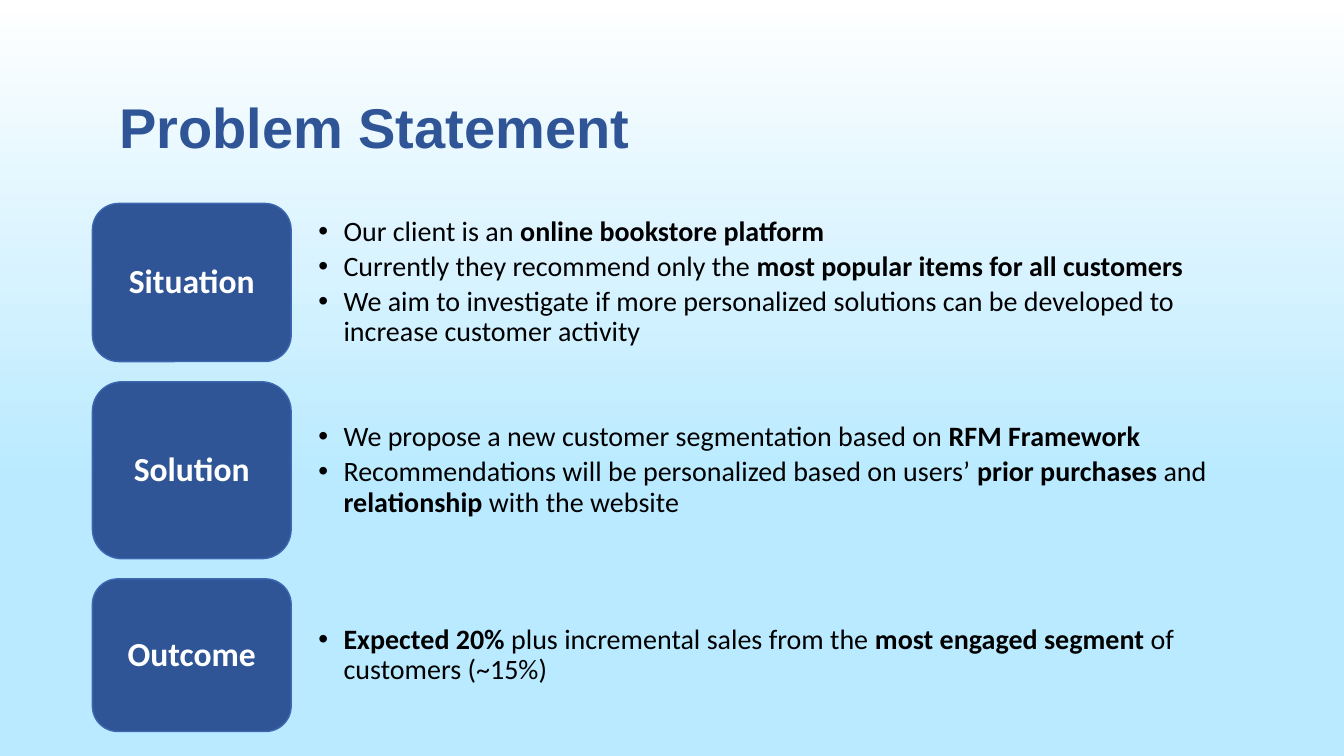
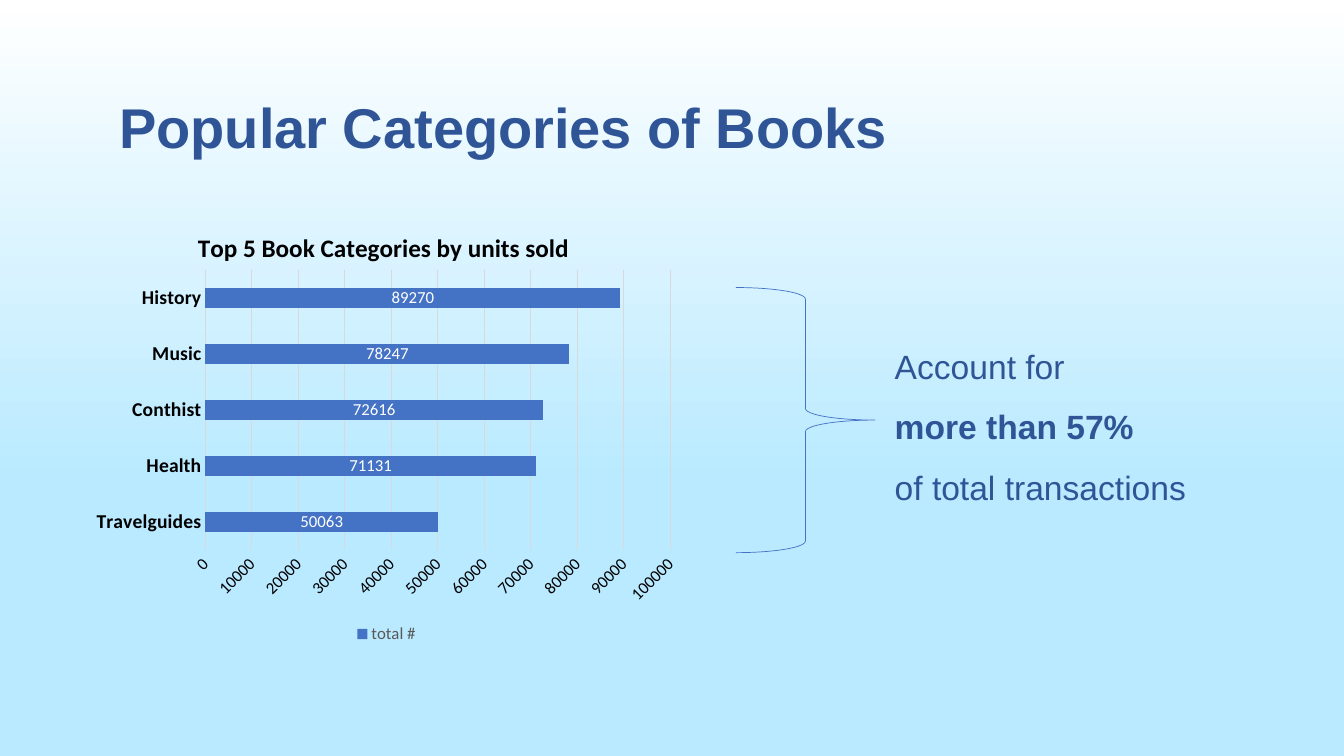
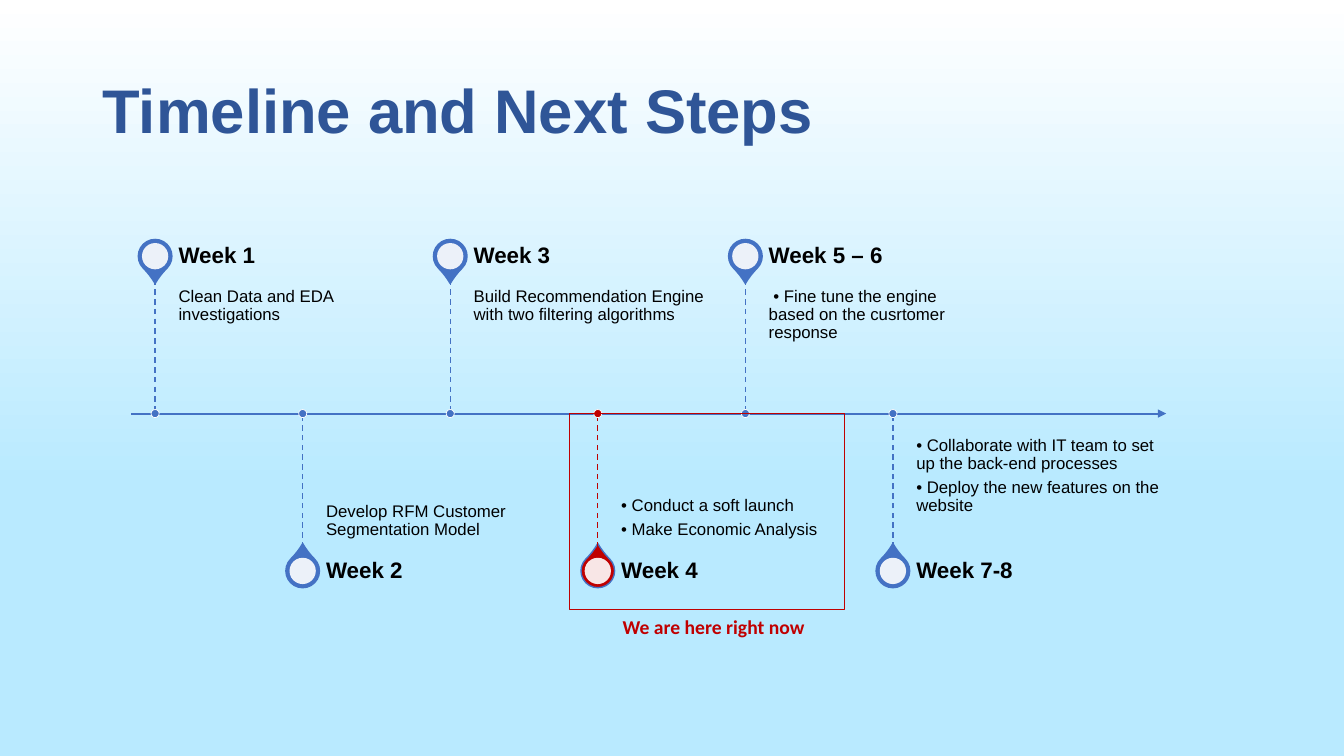
from lxml import etree
from pptx import Presentation
from pptx.chart.data import CategoryChartData
from pptx.dml.color import RGBColor
from pptx.enum.chart import XL_CHART_TYPE, XL_LABEL_POSITION, XL_LEGEND_POSITION, XL_TICK_MARK
from pptx.enum.dml import MSO_LINE
from pptx.enum.shapes import MSO_CONNECTOR, MSO_SHAPE
from pptx.enum.text import MSO_ANCHOR, MSO_AUTO_SIZE, PP_ALIGN
from pptx.oxml.ns import qn
from pptx.util import Pt

NAVY = RGBColor(0x2F, 0x55, 0x97)
EDGE = RGBColor(0x3E, 0x67, 0xB2)
BLUE = RGBColor(0x44, 0x72, 0xC4)
SKY = RGBColor(0xB9, 0xEA, 0xFF)
RED = RGBColor(0xC0, 0x00, 0x00)
GRID = RGBColor(0xD9, 0xD9, 0xD9)
GRAY = RGBColor(0x59, 0x59, 0x59)
BLACK = RGBColor(0, 0, 0)
WHITE = RGBColor(255, 255, 255)

LEFT, MID = PP_ALIGN.LEFT, PP_ALIGN.CENTER
TOP, CORE, BASE = MSO_ANCHOR.TOP, MSO_ANCHOR.MIDDLE, MSO_ANCHOR.BOTTOM
RECT, ROUND, OVAL = MSO_SHAPE.RECTANGLE, MSO_SHAPE.ROUNDED_RECTANGLE, MSO_SHAPE.OVAL
DROP, BRACE = MSO_SHAPE.TEAR, MSO_SHAPE.RIGHT_BRACE
LINE, DASH, NONE = MSO_CONNECTOR.STRAIGHT, MSO_LINE.DASH, XL_TICK_MARK.NONE

SANS, BODY = "Arial", "Calibri"
INSET = (7.2, 3.6, 7.2, 3.6)


def style(item, **values):
    for name, value in values.items():
        setattr(item, name, value)


def dress(font, size, color, bold=False, name=BODY):
    style(font, size=Pt(size), bold=bold, name=name)
    font.color.rgb = color


def write(frame, lines, size, color, bold=False, name=BODY, anchor=TOP, align=LEFT,
          inset=INSET, space=0.9, after=0, bullet=False, wrap=True):
    sides = ("margin_left", "margin_top", "margin_right", "margin_bottom")
    style(frame, word_wrap=wrap, auto_size=MSO_AUTO_SIZE.NONE, vertical_anchor=anchor,
          **{side: Pt(gap) for side, gap in zip(sides, inset)})
    for i, line in enumerate(lines):
        para = frame.add_paragraph() if i else frame.paragraphs[0]
        style(para, alignment=align, line_spacing=space, space_before=Pt(0), space_after=Pt(after))
        for j, part in enumerate(line.split("*")):
            for k, piece in enumerate(part.split("\n")):
                if k:
                    para.add_line_break()
                if piece:
                    run = para.add_run()
                    run.text = piece
                    dress(run.font, size, color, bold or j % 2 == 1, name)
        if bullet:
            props = para._p.get_or_add_pPr()
            props.set("marL", str(Pt(18)))
            props.set("indent", str(-Pt(18)))
            etree.SubElement(props, qn("a:buFont")).set("typeface", SANS)
            etree.SubElement(props, qn("a:buChar")).set("char", "•")


def label(slide, box, lines, size, color, **values):
    item = slide.shapes.add_textbox(*map(Pt, box))
    write(item.text_frame, lines, size, color, **values)


def shape(slide, kind, box, fill=None, line=None, width=1):
    item = slide.shapes.add_shape(kind, *map(Pt, box))
    item.shadow.inherit = False
    if fill is None:
        item.fill.background()
    else:
        item.fill.solid()
        item.fill.fore_color.rgb = fill
    if line is None:
        item.line.fill.background()
    else:
        item.line.color.rgb = line
        item.line.width = Pt(width)
    return item


def disc(slide, x, y, size, fill, line=None, width=1):
    return shape(slide, OVAL, (x - size / 2, y - size / 2, size, size), fill, line, width)


def rule(slide, x1, y1, x2, y2, color, width, dash=None, arrow=False):
    item = slide.shapes.add_connector(LINE, *map(Pt, (x1, y1, x2, y2)))
    item.line.color.rgb = color
    item.line.width = Pt(width)
    if dash:
        item.line.dash_style = dash
    props = item.element.spPr
    if arrow:
        etree.SubElement(props.find(qn("a:ln")), qn("a:tailEnd")).set("type", "triangle")
    etree.SubElement(props, qn("a:effectLst"))


def page(deck, text, box=(78, 41, 828, 104.4), size=40):
    slide = deck.slides.add_slide(deck.slide_layouts[5])
    title = slide.shapes.title
    style(title, **dict(zip(("left", "top", "width", "height"), map(Pt, box))))
    write(title.text_frame, [text], size, NAVY, bold=True, name=SANS, anchor=CORE)
    return slide


def paint(deck):
    fill = deck.slide_master.background.fill
    fill.gradient()
    fill.gradient_angle = 270
    for stop, color, place in zip(fill.gradient_stops, (WHITE, SKY), (0, 0.64)):
        stop.color.rgb = color
        stop.position = place


def row(slide, box, name, lines):
    x, y, width, height = box
    card = shape(slide, ROUND, (x, y, 142, height), NAVY, EDGE)
    write(card.text_frame, [name], 24, WHITE, bold=True, anchor=CORE, align=MID)
    label(slide, (x + 142, y, width - 142, height), lines, 20, BLACK, anchor=CORE,
          inset=(19.4, 10, 19.4, 10), after=3.5, bullet=True)


def place(node, index, **values):
    for old in node.findall(qn("c:layout")):
        node.remove(old)
    layout = etree.Element(qn("c:layout"))
    node.insert(index, layout)
    manual = etree.SubElement(layout, qn("c:manualLayout"))
    for name, value in values.items():
        etree.SubElement(manual, qn("c:" + name)).set("val", str(value))


def bars(slide, box, title, name, sales):
    data = CategoryChartData()
    data.categories = list(sales)
    data.add_series(name, list(sales.values()))
    chart = slide.shapes.add_chart(XL_CHART_TYPE.BAR_CLUSTERED, *map(Pt, box), data).chart
    dress(chart.font, 10, BLACK)
    chart.has_title = True
    head = chart.chart_title
    write(head.text_frame, [title], 18, BLACK, bold=True, align=MID, space=1)
    head.include_in_layout = False

    plot = chart.plots[0]
    style(plot, gap_width=182, vary_by_categories=False, has_data_labels=True)
    tags = plot.data_labels
    style(tags, show_value=True, position=XL_LABEL_POSITION.CENTER)
    dress(tags.font, 12, WHITE)
    fill = plot.series[0].format.fill
    fill.solid()
    fill.fore_color.rgb = BLUE

    cats, vals = chart.category_axis, chart.value_axis
    for axis, size, bold in ((cats, 14, True), (vals, 12, False)):
        style(axis, major_tick_mark=NONE, minor_tick_mark=NONE)
        dress(axis.tick_labels.font, size, BLACK, bold)
    style(vals, minimum_scale=0, maximum_scale=100000, major_unit=10000, has_major_gridlines=True)
    vals.format.line.fill.background()
    for line in (cats.format.line, vals.major_gridlines.format.line):
        line.color.rgb = GRID
        line.width = Pt(0.75)

    chart.has_legend = True
    style(chart.legend, position=XL_LEGEND_POSITION.BOTTOM, include_in_layout=False)
    dress(chart.legend.font, 12, GRAY)

    root = chart.element
    root.xpath(".//c:valAx/c:txPr/a:bodyPr")[0].set("rot", "-2700000")
    place(root.xpath(".//c:chart/c:title")[0], 1, xMode="edge", yMode="edge", x=0.18, y=0.05)
    place(root.xpath(".//c:plotArea")[0], 0, layoutTarget="inner", xMode="edge", yMode="edge",
          x=0.2, y=0.15, w=0.77, h=0.63)


def week(slide, x, axis, above, name, lines, color, lift):
    way = -1 if above else 1
    pin, stem = axis + 112.4 * way, axis + 95.6 * way
    tear = shape(slide, DROP, (x - 12, pin - 12, 24, 24), color, BLUE)
    tear.adjustments[0] = 1.15
    tear.rotation = 135 if above else 315
    hole = disc(slide, x, pin, 18.8, WHITE)
    tint = hole.element.xpath("./p:spPr/a:solidFill/a:srgbClr")[0]
    etree.SubElement(tint, qn("a:alpha")).set("val", "90000")
    left = x + 16.7
    label(slide, (left, min(axis, stem), 176, 95.6), lines, 12, BLACK, name=SANS,
          anchor=TOP if above else BASE, after=4.3,
          inset=(0, 6, 6, 8.6) if above else (0, 8.6, 0, 6 + lift))
    label(slide, (left, pin - 17, 176, 34), [name], 16, BLACK, bold=True, name=SANS,
          anchor=CORE, inset=(0, 0, 8, 0))
    rule(slide, x, stem, x, axis, color, 1, DASH)
    disc(slide, x, axis, 5.8, color, WHITE, 0.5)


def track(slide, box, weeks):
    x, y, width, step = box
    rule(slide, x, y, x + width, y, BLUE, 1.5, arrow=True)
    for i, (name, lines, color, lift) in enumerate(weeks):
        week(slide, x + 17.2 + i * step, y, i % 2 == 0, name, lines, color, lift)


def problem(deck):
    slide = page(deck, "Problem Statement")
    rows = (
        ("Situation", 113, (
            "Our client is an *online bookstore platform*",
            "Currently they recommend only the *most popular items for all customers*",
            "We aim to investigate if more personalized solutions can be developed to "
            "increase customer activity")),
        ("Solution", 126.4, (
            "We propose a new customer segmentation based on *RFM Framework*",
            "Recommendations will be personalized based on users’ *prior purchases *and "
            "*relationship* with the website")),
        ("Outcome", 109, (
            "*Expected 20%* plus incremental sales from the *most engaged segment *of "
            "customers (~15%)",)),
    )
    top = 145.3
    for name, height, lines in rows:
        row(slide, (66, top, 822, height), name, lines)
        top += height + 14.4


def popular(deck):
    slide = page(deck, "Popular Categories of Books")
    sales = {"Travelguides": 50063, "Health": 71131, "Conthist": 72616,
             "Music": 78247, "History": 89270}
    bars(slide, (60.5, 145.4, 431.3, 317.5), "Top 5 Book Categories by units sold",
         "total #", sales)
    label(slide, (632, 229, 294, 132.5), ("Account for", "*more than 57%*", "of total transactions"),
          24, NAVY, name=SANS, space=1.5)
    shape(slide, BRACE, (525.6, 205.4, 99.4, 189.4), line=BLUE, width=0.5)


def timeline(deck):
    slide = page(deck, "Timeline and Next Steps", (66, 28.8, 828, 104.4), 44)
    weeks = (
        ("Week 1", ("Clean Data and EDA investigations",), BLUE, 0),
        ("Week 2", ("Develop RFM Customer Segmentation Model",), BLUE, 0),
        ("Week 3", ("Build Recommendation Engine with two filtering algorithms",), BLUE, 0),
        ("Week 4", ("• Conduct a soft launch", "• Make Economic Analysis"), RED, 0),
        ("Week 5 – 6", (" • Fine tune the engine\nbased on the cusrtomer\nresponse",), BLUE, 0),
        ("Week 7-8", ("• Collaborate with IT team to set up the back-end processes",
                      "• Deploy the new features on the website"), BLUE, 17),
    )
    track(slide, (93.6, 295.4, 739.4, 105.4), weeks)
    shape(slide, RECT, (406.6, 295.4, 196.8, 139.8), line=RED)
    label(slide, (437.6, 435.6, 145.6, 24.2), ["We are here right now"], 14, RED,
          bold=True, space=1, wrap=False)


def main():
    deck = Presentation()
    style(deck, slide_width=Pt(960), slide_height=Pt(540))
    paint(deck)
    for build in (problem, popular, timeline):
        build(deck)
    deck.save("out.pptx")


if __name__ == "__main__":
    main()
